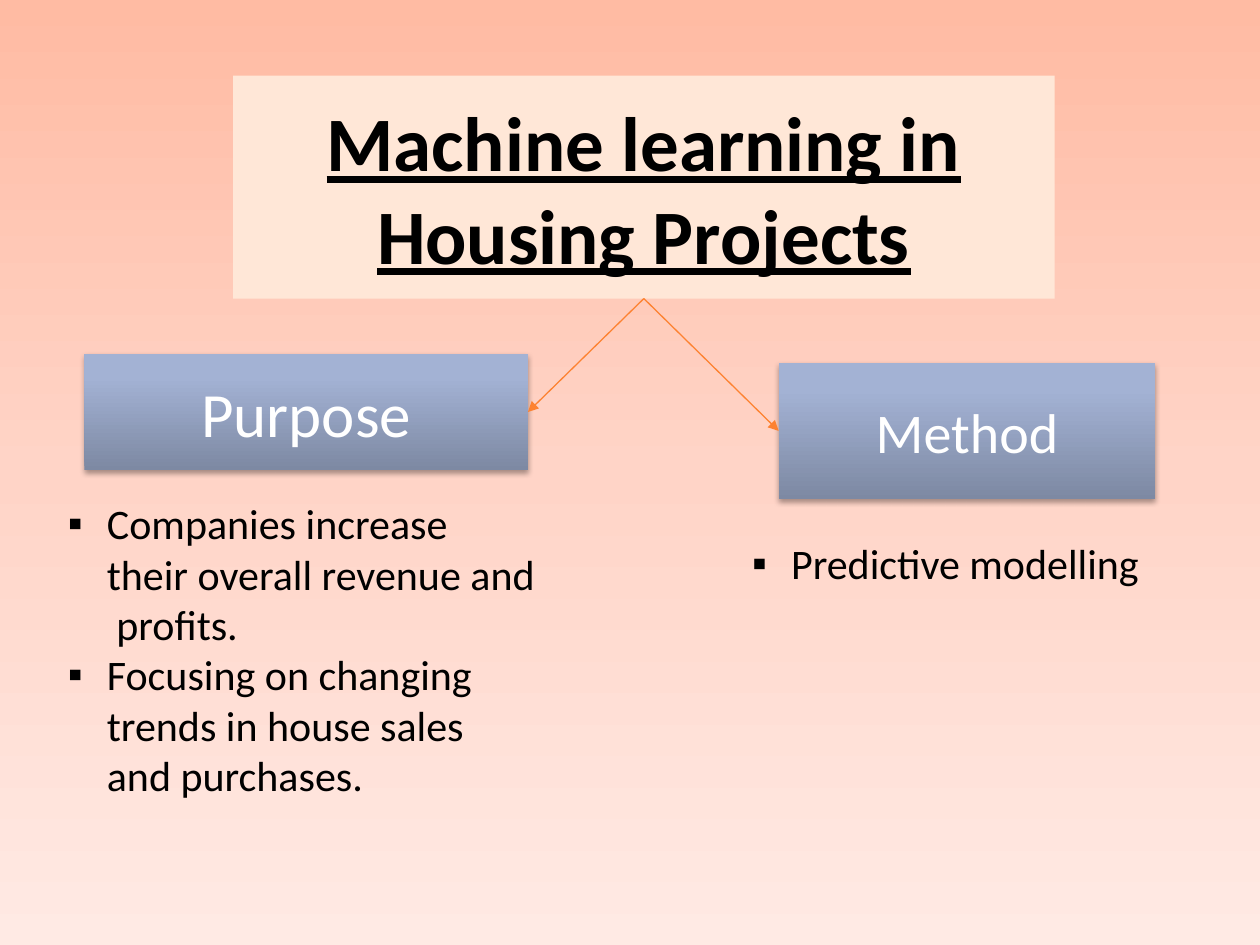
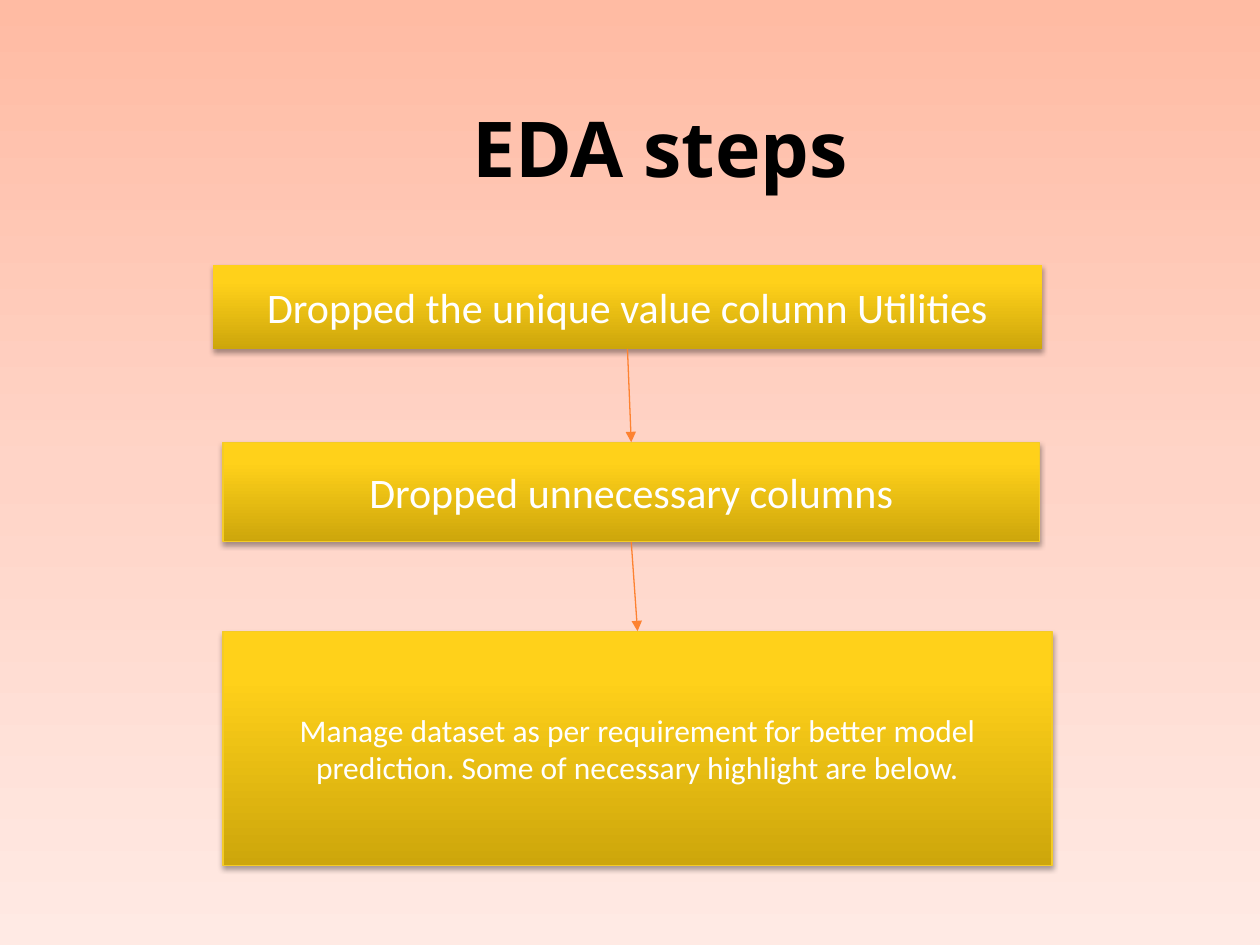
from lxml.etree import SubElement
from pptx import Presentation
from pptx.dml.color import RGBColor
from pptx.enum.shapes import MSO_CONNECTOR, MSO_SHAPE
from pptx.enum.text import MSO_ANCHOR, MSO_AUTO_SIZE, PP_ALIGN
from pptx.oxml.ns import qn
from pptx.util import Inches, Pt

STRAIGHT = MSO_CONNECTOR.STRAIGHT
RECTANGLE = MSO_SHAPE.RECTANGLE
TOP, MIDDLE = MSO_ANCHOR.TOP, MSO_ANCHOR.MIDDLE
LEFT, CENTER = PP_ALIGN.LEFT, PP_ALIGN.CENTER
FIXED = MSO_AUTO_SIZE.NONE
TOP_SITE, LEFT_SITE, BOTTOM_SITE, RIGHT_SITE = range(4)

BLACK = RGBColor(0x00, 0x00, 0x00)
WHITE = RGBColor(0xFF, 0xFF, 0xFF)
CREAM = RGBColor(0xFF, 0xE7, 0xD7)
ORANGE = RGBColor(0xFD, 0x82, 0x31)
GOLD_EDGE = RGBColor(0xF4, 0xCB, 0x27)
PEACH = [(0, RGBColor(0xFF, 0xBB, 0xA3)), (50, RGBColor(0xFF, 0xD4, 0xC7)),
         (100, RGBColor(0xFF, 0xEA, 0xE4))]
BLUE = [(0, RGBColor(0x7D, 0x89, 0xA3)), (80, RGBColor(0xA3, 0xB2, 0xD4)),
        (100, RGBColor(0xA3, 0xB3, 0xD6))]
GOLD = [(0, RGBColor(0xCD, 0xA6, 0x0B)), (80, RGBColor(0xFF, 0xD1, 0x1A)),
        (100, RGBColor(0xFF, 0xD1, 0x1B))]

PROJECT_TITLE = ("Machine learning in Housing Projects", (1.85, 0.6, 6.52, 1.77))
TOPICS = [
    {"heading": "Purpose", "size": 36, "at": (0.67, 2.81, 3.52, 0.92),
     "site": RIGHT_SITE, "points_at": (0.44, 3.9, 3.92, 2.52),
     "points": ["Companies increase\ntheir overall revenue and\n profits.",
                "Focusing on changing\ntrends in house sales\nand purchases."]},
    {"heading": "Method", "size": 32, "at": (6.18, 2.88, 2.99, 1.08),
     "site": LEFT_SITE, "points_at": (5.87, 4.22, 4.35, 0.5),
     "points": ["Predictive modelling"]},
]

STEPS_TITLE = ("EDA steps", (-0.51, 0.44, 11.5, 1.45))
STEPS = [
    ("Dropped the unique value column Utilities", 24, (1.69, 2.1, 6.58, 0.67), None),
    ("Dropped unnecessary columns", 24, (1.77, 3.51, 6.48, 0.79), GOLD_EDGE),
    ("Manage dataset as per requirement for better model prediction. "
     "Some of necessary highlight are below.", 18, (1.77, 5.01, 6.58, 1.86), GOLD_EDGE),
]


def write(shape, paragraphs, size=24, font="Calibri", color=BLACK, bold=False,
          underline=False, align=CENTER, anchor=MIDDLE, bullet=None):
    frame = shape.text_frame
    frame.word_wrap = True
    frame.auto_size = FIXED
    frame.vertical_anchor = anchor
    for index, text in enumerate(paragraphs):
        para = frame.add_paragraph() if index else frame.paragraphs[0]
        para.text = text
        para.alignment = align
        for span in para.runs:
            span.font.name = font
            span.font.size = Pt(size)
            span.font.bold = bold
            span.font.underline = underline
            span.font.color.rgb = color
        if bullet:
            properties = para._p.get_or_add_pPr()
            properties.set("marL", str(Inches(0.31)))
            properties.set("indent", str(-Inches(0.31)))
            SubElement(properties, qn("a:buFont"), typeface="Arial")
            SubElement(properties, qn("a:buChar"), char=bullet)


def set_gradient(fill, element, stops, angle):
    fill.gradient()
    fill.gradient_angle = angle
    stop_list = element.find(".//" + qn("a:gsLst"))
    stop_list.clear()
    for position, color in stops:
        stop = SubElement(stop_list, qn("a:gs"), pos=str(position * 1000))
        SubElement(stop, qn("a:srgbClr"), val=str(color))


def add_page(deck, title, **text_format):
    page = deck.slides.add_slide(deck.slide_layouts[5])
    text, place = title
    heading = page.shapes.title
    heading.left, heading.top, heading.width, heading.height = map(Inches, place)
    write(heading, [text], size=44, bold=True, **text_format)
    return page


def add_box(page, text, size, place, stops, edge=None):
    box = page.shapes.add_shape(RECTANGLE, *map(Inches, place))
    set_gradient(box.fill, box.element, stops, 90)
    if edge:
        box.line.color.rgb = edge
        box.line.width = Pt(0.75)
    else:
        box.line.fill.background()
    box.shadow.inherit = False
    effects = box.element.spPr.find(qn("a:effectLst"))
    shadow = SubElement(effects, qn("a:outerShdw"), blurRad=str(Pt(3.1)),
                        dist=str(Pt(1.8)), dir="5400000", rotWithShape="0")
    shade = SubElement(shadow, qn("a:srgbClr"), val=str(BLACK))
    SubElement(shade, qn("a:alpha"), val="35000")
    write(box, [text], size=size, color=WHITE)
    return box


def add_arrow(page, source, target, target_site):
    arrow = page.shapes.add_connector(STRAIGHT, 0, 0, 0, 0)
    arrow.begin_connect(source, BOTTOM_SITE)
    arrow.end_connect(target, target_site)
    arrow.line.color.rgb = ORANGE
    arrow.line.width = Pt(0.75)
    properties = arrow.element.spPr
    SubElement(properties.find(qn("a:ln")), qn("a:tailEnd"), type="triangle")
    SubElement(properties, qn("a:effectLst"))


def build_projects(deck):
    page = add_page(deck, PROJECT_TITLE, underline=True)
    heading = page.shapes.title
    heading.fill.solid()
    heading.fill.fore_color.rgb = CREAM
    for topic in TOPICS:
        box = add_box(page, topic["heading"], topic["size"], topic["at"], BLUE)
        points = page.shapes.add_textbox(*map(Inches, topic["points_at"]))
        points.text_frame.margin_right = Inches(0.02)
        write(points, topic["points"], align=LEFT, anchor=TOP, bullet="▪")
        add_arrow(page, heading, box, topic["site"])


def build_steps(deck):
    page = add_page(deck, STEPS_TITLE, font="Open Sans")
    boxes = [add_box(page, text, size, place, GOLD, edge)
             for text, size, place, edge in STEPS]
    for source, target in zip(boxes, boxes[1:]):
        add_arrow(page, source, target, TOP_SITE)


def main():
    """Build the two slides on housing projects and data analysis steps."""
    deck = Presentation()
    deck.slide_width, deck.slide_height = Inches(10), Inches(7.5)
    master = deck.slide_master
    set_gradient(master.background.fill, master.element, PEACH, 270)
    build_projects(deck)
    build_steps(deck)
    deck.save("out.pptx")


if __name__ == "__main__":
    main()
